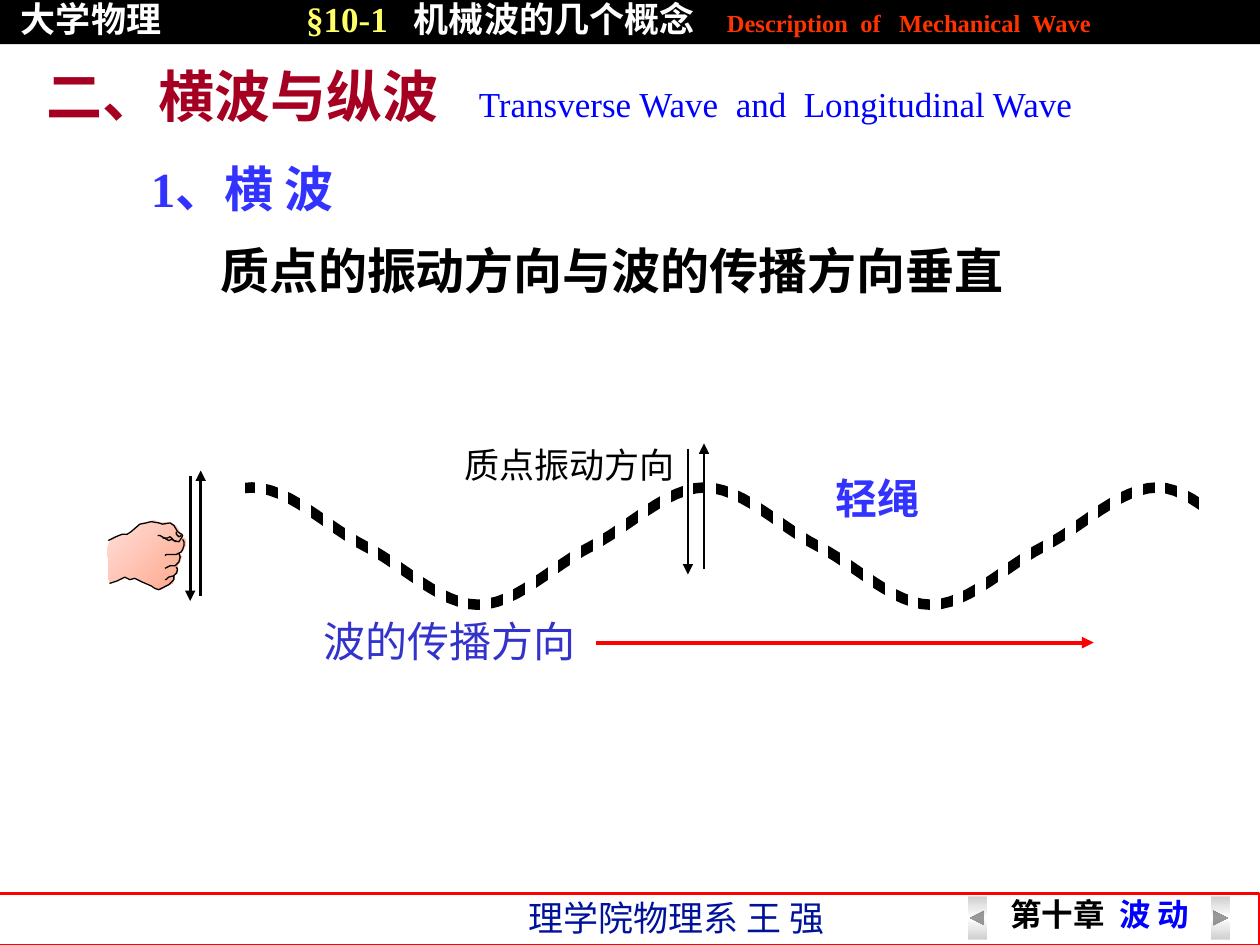
from lxml import etree
from pptx import Presentation
from pptx.dml.color import RGBColor
from pptx.enum import shapes, text
from pptx.oxml import ns
from pptx.util import Pt

SANS, SERIF = "Noto Sans CJK SC", "Times New Roman"
BLACK = RGBColor(0x00, 0x00, 0x00)
WHITE = RGBColor(0xFF, 0xFF, 0xFF)
RED = RGBColor(0xFF, 0x00, 0x00)
ORANGE = RGBColor(0xFF, 0x33, 0x00)
YELLOW = RGBColor(0xFF, 0xFF, 0x66)
CRIMSON = RGBColor(0xA5, 0x00, 0x21)
BLUE = RGBColor(0x00, 0x00, 0xFF)
NAVY = RGBColor(0x00, 0x12, 0x9A)
HEADING_BLUE = RGBColor(0x33, 0x33, 0xFF)
LABEL_BLUE = RGBColor(0x33, 0x33, 0xCC)
SILVER = RGBColor(0xCF, 0xCF, 0xCF)
SKIN_LIGHT = RGBColor(0xFF, 0xDF, 0xD9)
SKIN_DARK = RGBColor(0xFE, 0xA7, 0x8C)

HAND_OUTLINE = [
    (3, 16), (1, 19), (0, 24), (1, 31), (1, 44), (2, 50), (5, 48), (11, 47), (15, 45),
    (19, 47), (23, 45), (30, 49), (37, 52), (39, 54), (42, 55), (44, 54), (49, 51),
    (52, 50), (53, 47), (53, 43), (56, 42), (56, 35), (58, 32), (59, 29), (57, 25),
    (60, 24), (62, 20), (62, 15), (60, 14), (60, 11), (58, 10), (55, 5), (51, 2),
    (43, 2), (37, 0), (29, 2), (25, 3), (21, 8), (18, 11), (13, 11), (8, 13), (4, 15)]
HAND_STROKES = [
    [(53, 44), (53, 47), (51, 49), (49, 51), (45, 53), (43, 54), (41, 55), (38, 54),
     (35, 52), (28, 49), (22, 46), (18, 47), (14, 45), (8, 48), (2, 50)],
    [(57, 26), (58, 29), (57, 33), (55, 35), (54, 36), (50, 36), (48, 37), (46, 38)],
    [(55, 37), (56, 39), (55, 42), (53, 44), (49, 45), (47, 47), (46, 47)],
    [(55, 9), (55, 11), (56, 12), (57, 13), (59, 12)],
    [(1, 16), (7, 13), (12, 11), (16, 11), (19, 9), (26, 3), (31, 2), (35, 1), (41, 2),
     (44, 3), (50, 2), (53, 4), (56, 9), (59, 11), (60, 12), (59, 14), (57, 17),
     (53, 16), (51, 14), (50, 13), (48, 14), (44, 14)],
    [(40, 12), (42, 12), (49, 16), (51, 15), (53, 16), (55, 17)],
    [(60, 15), (61, 17), (61, 20), (60, 23), (59, 25), (55, 27), (47, 27), (46, 28)]]


def style(font, size, color, bold, name):
    font.size, font.bold, font.name = Pt(size), bold, name
    font.color.rgb = color
    ea = etree.Element(ns.qn("a:ea"), typeface=SANS)
    font._element.find(ns.qn("a:latin")).addnext(ea)


def write(sp, box, runs, tabs=(), spacing=None, left=7.2, wrap=True,
          anchor=text.MSO_ANCHOR.TOP):
    sp.left, sp.top, sp.width, sp.height = map(Pt, box)
    tf = sp.text_frame
    tf.auto_size = text.MSO_AUTO_SIZE.NONE
    tf.word_wrap, tf.vertical_anchor = wrap, anchor
    tf.margin_left, tf.margin_right = Pt(left), Pt(7.2)
    tf.margin_top = tf.margin_bottom = Pt(3.6)
    p = tf.paragraphs[0]
    p.alignment = text.PP_ALIGN.LEFT
    p.space_before = Pt(0)
    if spacing:
        p.line_spacing = spacing
    if tabs:
        tab_list = etree.SubElement(p._p.get_or_add_pPr(), ns.qn("a:tabLst"))
        for pos in tabs:
            etree.SubElement(tab_list, ns.qn("a:tab"), pos=str(Pt(pos)), algn="l")
    for content, *look in runs:
        r = p.add_run()
        r.text = content
        style(p.font if len(runs) == 1 else r.font, *look)


def add_text(s, box, runs, **options):
    write(s.shapes.add_textbox(*map(Pt, box)), box, runs, **options)


def paint(sp, fill=None, line=None, width=0.75):
    sp.shadow.inherit = False
    for part, color in ((sp.fill, fill), (sp.line.fill, line)):
        if color is None:
            part.background()
        else:
            part.solid()
            part.fore_color.rgb = color
    if line is not None:
        sp.line.width = Pt(width)
    return sp


def add_shape(s, kind, box, **look):
    return paint(s.shapes.add_shape(kind, *map(Pt, box)), **look)


def add_gradient(sp, colors, angle):
    grad = etree.Element(ns.qn("a:gradFill"), rotWithShape="1")
    stops = etree.SubElement(grad, ns.qn("a:gsLst"))
    for i, color in enumerate(colors):
        gs = etree.SubElement(stops, ns.qn("a:gs"), pos=str(100000 * i // (len(colors) - 1)))
        etree.SubElement(gs, ns.qn("a:srgbClr"), val=str(color))
    etree.SubElement(grad, ns.qn("a:lin"), ang=str(angle * 60000), scaled="0")
    solid = sp._element.spPr.find(ns.qn("a:solidFill"))
    solid.getparent().replace(solid, grad)


def add_line(s, start, end, color, width, arrow=False):
    c = s.shapes.add_connector(shapes.MSO_CONNECTOR.STRAIGHT, *map(Pt, start + end))
    c.line.color.rgb, c.line.width = color, Pt(width)
    if arrow:
        etree.SubElement(c.line._get_or_add_ln(), ns.qn("a:tailEnd"), type="triangle")
    etree.SubElement(c._element.spPr, ns.qn("a:effectLst"))


def add_header(s, box):
    sp = add_shape(s, shapes.MSO_SHAPE.RECTANGLE, box, fill=BLACK)
    write(sp, box, [("大学物理\t", 20, WHITE, True, SANS),
                    ("§10-1\t", 20, YELLOW, True, SERIF),
                    ("机械波的几个概念\t", 20, WHITE, True, SERIF),
                    ("Description  of   Mechanical  Wave", 14, ORANGE, True, SERIF)],
          tabs=(163, 224.6, 403.4), spacing=0.8, left=12, anchor=text.MSO_ANCHOR.MIDDLE)


def add_footer(s, box):
    x, y, w, h = box
    add_shape(s, shapes.MSO_SHAPE.RECTANGLE, box, line=RED, width=1.5)
    add_text(s, (x + 542, y + 1.5, 172.8, 24.5),
             [("第十章\t", 18, BLACK, True, SANS), ("波 动", 18, BLUE, True, SANS)],
             tabs=(62.3,), spacing=0.8, left=35.7)
    add_text(s, (x + 295.5, y - 2, 194.4, 31.5),
             [("理学院物理系 王 强", 20, NAVY, False, SANS)], wrap=False)
    for kind, dx in ((shapes.MSO_SHAPE.ACTION_BUTTON_BACK_OR_PREVIOUS, 553.5),
                     (shapes.MSO_SHAPE.ACTION_BUTTON_FORWARD_OR_NEXT, 692.5)):
        sp = add_shape(s, kind, (x + dx, y + 1.7, 11, 24.7), fill=SILVER)
        add_gradient(sp, (SILVER, WHITE, SILVER), 90)


def add_headings(s, box):
    x, y, w, h = box
    write(s.shapes.title, (x, y, w, 46),
          [("二、", 32, CRIMSON, True, SANS), ("横波与纵波\t", 32, CRIMSON, True, SERIF),
           ("Transverse Wave  and  Longitudinal Wave", 20, BLUE, False, SERIF)],
          tabs=(247,))
    for dx, dy, content, color in ((59.8, 55.4, "1、横 波", HEADING_BLUE),
                                   (99.4, 102.2, "质点的振动方向与波的传播方向垂直", BLACK)):
        add_text(s, (x + dx, y + dy, 498, 41), [(content, 28, color, True, SERIF)])


def wave_points(x, y, w, h, quarter, steps=12):
    levels = (h / 2, 0, h / 2, h)
    slopes = (-0.5, 0, 0.5, 0)
    knots = [(min(x + i * quarter, x + w), y + levels[i % 4], slopes[i % 4])
             for i in range(11)]
    points = [knots[0][:2]]
    for (x0, y0, m0), (x1, y1, m1) in zip(knots, knots[1:]):
        d = (x1 - x0) / 3
        for k in range(1, steps + 1):
            t = k / steps
            v = 1 - t
            points.append((x0 + t * (x1 - x0),
                           v**3 * y0 + 3 * v * v * t * (y0 + d * m0)
                           + 3 * v * t * t * (y1 - d * m1) + t**3 * y1))
    return [(Pt(px), Pt(py)) for px, py in points]


def add_rope(s, box):
    x, y, w, h = box
    points = wave_points(x, y, w, h, 64.7)
    fb = s.shapes.build_freeform(*points[0])
    fb.add_line_segments(points[1:], close=False)
    paint(fb.convert_to_shape(), line=BLACK, width=6)
    for i in range(42):
        gap_x = x + 69.8 + 12.85 * i
        add_line(s, (gap_x, y - 12), (gap_x, y + h + 13), WHITE, 6)
    for left, width in ((0, 139.7), (685.4, 34.6)):
        add_shape(s, shapes.MSO_SHAPE.RECTANGLE, (left, y - 54, width, h + 112),
                  fill=WHITE, line=WHITE)


def add_hand(s, box):
    x, y, w, h = box

    def draw(points, close):
        fb = s.shapes.build_freeform(*points[0], scale=Pt(w / 62))
        fb.add_line_segments(points[1:], close=close)
        return fb.convert_to_shape(Pt(x), Pt(y))

    palm = paint(draw(HAND_OUTLINE, True), fill=SKIN_LIGHT)
    add_gradient(palm, (SKIN_LIGHT, SKIN_DARK), 45)
    for stroke in HAND_STROKES:
        paint(draw(stroke, False), line=BLACK)


def add_vibration(s, box):
    x, y, w, h = box
    add_line(s, (x + w, y + h - 3), (x + w, y), BLACK, 1.5, True)
    add_line(s, (x, y + 3), (x, y + h), BLACK, 1.5, True)


def add_wave_diagram(s, box):
    x, y, w, h = box
    add_rope(s, (x, y + 25.2, w, 67))
    add_hand(s, (x - 18, y + 44, 44.64, 39.6))
    add_vibration(s, (x + 29.5, y + 15.5, 6, 74.5))
    add_vibration(s, (x + 313.9, y, 9.2, 74.9))
    add_line(s, (x + 261.4, y + 113.8), (x + 545.8, y + 113.8), RED, 2.25, True)
    for dx, dy, width, height, content, size, color, bold in (
            (391, 13, 92.9, 36, "轻绳", 24, HEADING_BLUE, True),
            (98.6, 95, 167.8, 36, "波的传播方向", 24, LABEL_BLUE, False),
            (179.3, -3.6, 167.8, 31.7, "质点振动方向", 20, BLACK, False)):
        add_text(s, (x + dx, y + dy, width, height), [(content, size, color, bold, SERIF)])


def main():
    prs = Presentation()
    prs.slide_width, prs.slide_height = Pt(720), Pt(540)
    s = prs.slides.add_slide(prs.slide_layouts[5])
    add_header(s, (0, 0, 720, 25.2))
    add_footer(s, (-0.5, 510.5, 720, 30))
    add_headings(s, (19.4, 31.7, 697.7, 143))
    add_wave_diagram(s, (79.2, 253.4, 640.8, 131))
    prs.save("out.pptx")


if __name__ == "__main__":
    main()
